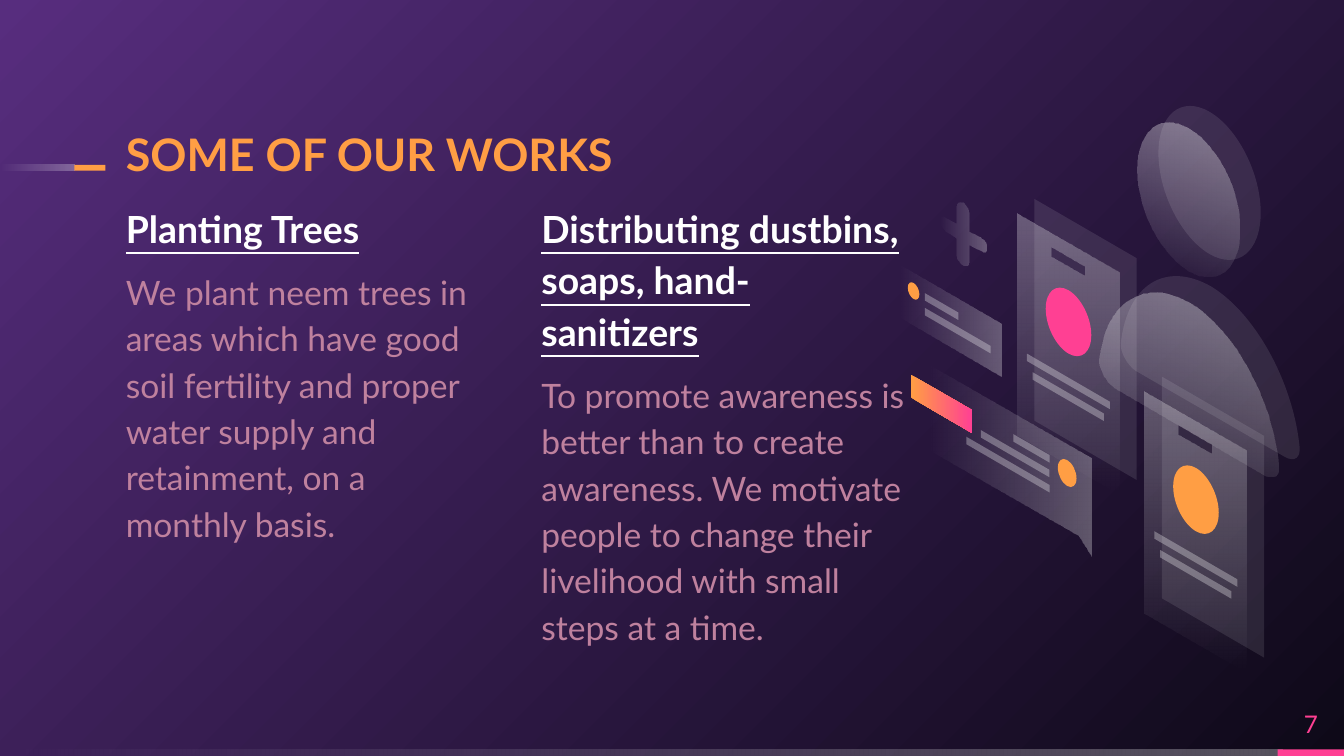
from dataclasses import dataclass
from lxml.etree import SubElement
from pptx import Presentation
from pptx.dml.color import RGBColor
from pptx.enum.shapes import MSO_SHAPE
from pptx.enum.text import MSO_ANCHOR, MSO_AUTO_SIZE, PP_ALIGN
from pptx.oxml.ns import qn
from pptx.util import Pt


@dataclass(frozen=True)
class Theme:
    font: str = "Lato"
    white: str = "FFFFFF"
    orange: str = "FF9E44"
    pink: str = "FF4093"
    mauve: str = "BF819E"
    purple: str = "572D7E"
    night: str = "0E0918"
    title: int = 24
    head: int = 20
    body: int = 18
    number: int = 13


theme = Theme()
orange = [(theme.orange, 100)]
pink = [(theme.pink, 100)]
haze = [(theme.white, 10)]
line = [(theme.white, 30)]
fade = [(theme.white, 30), (theme.white, 0)]
glow = [(theme.white, 40), (theme.white, 0)]
blend = [(theme.orange, 100), (theme.pink, 100)]


def paint(fill, stops, angle=0):
    if len(stops) == 1:
        fill.solid()
        colors = [fill.fore_color]
    else:
        fill.gradient()
        fill.gradient_angle = (360 - angle) % 360
        colors = [stop.color for stop in fill.gradient_stops]
    for color, (code, alpha) in zip(colors, stops):
        color.rgb = RGBColor.from_string(code)
        if alpha < 100:
            node = color._xFill.find(qn("a:srgbClr"))
            SubElement(node, qn("a:alpha")).set("val", str(alpha * 1000))


def trace(shapes, loops):
    pen = None
    for loop in loops:
        spots = [loop[0]]
        for step in loop[1:]:
            knots = [spots[-1], step[:2], step[2:4], step[4:]]
            if len(step) == 2:
                spots.append(step)
                continue
            for i in range(1, 17):
                t = i / 16
                parts = ((1 - t) ** 3, 3 * t * (1 - t) ** 2, 3 * t * t * (1 - t), t ** 3)
                spots.append(tuple(sum(p * k[j] for p, k in zip(parts, knots)) for j in (0, 1)))
        spots = [(Pt(x), Pt(y)) for x, y in spots]
        if pen is None:
            pen = shapes.build_freeform(*spots[0], scale=1.0)
        else:
            pen.move_to(*spots[0])
        pen.add_line_segments(spots[1:], close=True)
    shape = pen.convert_to_shape()
    route = shape._element.find(".//" + qn("a:path"))
    for node in list(route):
        route.remove(node)
    for loop in loops:
        for i, step in enumerate(loop):
            tag = "a:moveTo" if i == 0 else "a:lnTo" if len(step) == 2 else "a:cubicBezTo"
            node = SubElement(route, qn(tag))
            for x, y in zip(step[::2], step[1::2]):
                spot = SubElement(node, qn("a:pt"))
                spot.set("x", str(Pt(x) - shape.left))
                spot.set("y", str(Pt(y) - shape.top))
        SubElement(route, qn("a:close"))
    return shape


deck = Presentation()
deck.slide_width, deck.slide_height = Pt(720), Pt(405)
slide = deck.slides.add_slide(deck.slide_layouts[5])
shapes = slide.shapes
paint(slide.background.fill, [(theme.purple, 100), (theme.night, 100)], 45)

drawn = []
bars = [
    (0, 401.4, 686.9, 3.6, fade),
    (684.5, 401.4, 35.5, 3.6, pink),
    (0, 88.3, 40, 3.1, fade),
    (39.8, 88.3, 16.7, 3.1, orange),
]
for left, top, width, height, look in bars:
    bar = shapes.add_shape(MSO_SHAPE.RECTANGLE, Pt(left), Pt(top), Pt(width), Pt(height))
    drawn.append((bar, look, 180))

plant = "We plant neem trees in areas which have good soil fertility and proper water supply and retainment, on a monthly basis."
aware = "To promote awareness is better than to create awareness. We motivate people to change their livelihood with small steps at a time."
columns = [
    (67.4, "Planting Trees", plant),
    (290, "Distributing dustbins, soaps, hand-sanitizers", aware),
]
texts = [
    (shapes.title, (67.4, 65.9, 417.6, 31), MSO_ANCHOR.BOTTOM, PP_ALIGN.LEFT, 0.9,
     [("SOME OF OUR WORKS", theme.title, theme.orange, True, False, 0)]),
    (None, (684.5, 374, 35.5, 27.5), MSO_ANCHOR.MIDDLE, PP_ALIGN.CENTER, 1.0,
     [("7", theme.number, theme.pink, False, False, 0)]),
]
for x, head, body in columns:
    texts.append((None, (x, 106.8, 195, 269.3), MSO_ANCHOR.TOP, PP_ALIGN.LEFT, 1.15,
                  [(head, theme.head, theme.white, True, True, 0),
                   (body, theme.body, theme.mauve, False, False, 8)]))

for box, place, anchor, align, space, lines in texts:
    place = [Pt(v) for v in place]
    if box is None:
        box = shapes.add_textbox(*place)
    box.left, box.top, box.width, box.height = place
    frame = box.text_frame
    frame.word_wrap = True
    frame.auto_size = MSO_AUTO_SIZE.NONE
    frame.vertical_anchor = anchor
    frame.margin_left = frame.margin_right = frame.margin_top = frame.margin_bottom = 0
    for i, (words, size, color, bold, under, gap) in enumerate(lines):
        para = frame.add_paragraph() if i else frame.paragraphs[0]
        para.alignment = align
        para.line_spacing = space
        para.space_before = para.space_after = Pt(gap)
        run = para.add_run()
        run.text = words
        font = run.font
        font.name, font.size, font.bold, font.underline = theme.font, Pt(size), bold, under
        font.color.rgb = RGBColor.from_string(color)

torso = [
    (648.7, 153.4), (624.2, 139.7, 604.1, 152.6, 600.5, 183.6),
    (599.8, 188.6, 604.1, 195.8, 608.4, 198.7), (688.3, 244.8),
    (693.4, 247.7, 697, 245.5, 696.2, 239), (692.6, 204.5, 672.5, 167.8, 648.7, 153.4),
]
cross = [
    (516.2, 108.7), (517.7, 110.2, 519.1, 112.3, 519.1, 114.5), (519.1, 123.8),
    (524.9, 126.7), (527, 128.2, 528.5, 130.3, 528.5, 132.5),
    (528.5, 134.6, 527, 135.4, 524.9, 133.9), (519.1, 131), (519.1, 139.7),
    (519.1, 141.8, 517.7, 142.6, 516.2, 141.8), (514.1, 140.4, 512.6, 138.2, 512.6, 136.1),
    (512.6, 127.4), (506.9, 123.8), (505.4, 123.1, 504, 120.2, 504, 118.1),
    (504, 115.9, 505.4, 115.2, 506.9, 116.6), (512.6, 119.5), (512.6, 110.9),
    (512.6, 108.7, 514.1, 108, 516.2, 108.7),
]
bubble = [(584.6, 245.5), (497.5, 195.1), (497.5, 240.5), (577.4, 286.6), (584.6, 298.1)]

parts = []
for dx, dy, look in [(0, 0, haze), (-11.5, 9, glow)]:
    moved = [tuple(v + (dy if i % 2 else dx) for i, v in enumerate(step)) for step in torso]
    parts += [("path", moved, look, 110), ("oval", (648 + dx, 98 + dy, 27.4), look, 110)]
parts += [
    ("slab", (481.7, 141.8, 54.7, 28.1), fade, 180),
    ("oval", (489.4, 155.9, 3.1), orange, 0),
    ("slab", (495.4, 157, 18, 4), line, 0),
    ("slab", (495.4, 164.9, 35.3, 4), line, 0),
]
for dx, dy, dot in [(68.3, 95.2, orange), (0, 0, pink)]:
    parts += [
        ("slab", (554.2 + dx, 106.6 + dy, 54.7, 118.8), haze, 0),
        ("card", (545 + dx, 114.7 + dy, 54.7, 118.8), fade, 90),
        ("slab", (550.1 + dx, 189.4 + dy, 44.5, 4), line, 0),
        ("slab", (553.2 + dx, 199.4 + dy, 38.2, 4), line, 0),
        ("oval", (572.4 + dx, 172.5 + dy, 12.2), dot, 0),
    ]
parts += [
    ("path", bubble, fade, 180),
    ("slab", (488.1, 200.8, 32.7, 12.2), blend, 0),
    ("slab", (542.9, 232.6, 19.4, 4), line, 0),
    ("slab", (525.4, 230.4, 36.7, 4), line, 0),
    ("slab", (517.7, 234, 44.6, 4), line, 0),
    ("oval", (571.7, 253.4, 5), orange, 0),
    ("path", cross, fade, 180),
]

slope, tall, bend = 0.58, 1.39, 0.55
ring = [
    (1, 0), (1, bend, bend, 1, 0, 1), (-bend, 1, -1, bend, -1, 0),
    (-1, -bend, -bend, -1, 0, -1), (bend, -1, 1, -bend, 1, 0),
]
for kind, form, look, angle in parts:
    if kind == "path":
        loops = [form]
    elif kind == "oval":
        x, y, r = form
        loops = [[tuple(v for a, b in zip(step[::2], step[1::2])
                        for v in (x + r * a, y + r * (slope * a + tall * b)))
                  for step in ring]]
    else:
        x, y, w, h = form
        slabs = [form] + ([(x + 18, y + 18, 18, 5)] if kind == "card" else [])
        loops = [[(x, y), (x + w, y + slope * w), (x + w, y + slope * w + h), (x, y + h)]
                 for x, y, w, h in slabs]
        loops[1:] = [hole[::-1] for hole in loops[1:]]
    drawn.append((trace(shapes, loops), look, angle))

for shape, look, angle in drawn:
    paint(shape.fill, look, angle)
    shape.line.fill.background()
    shape.shadow.inherit = False

deck.save("out.pptx")
